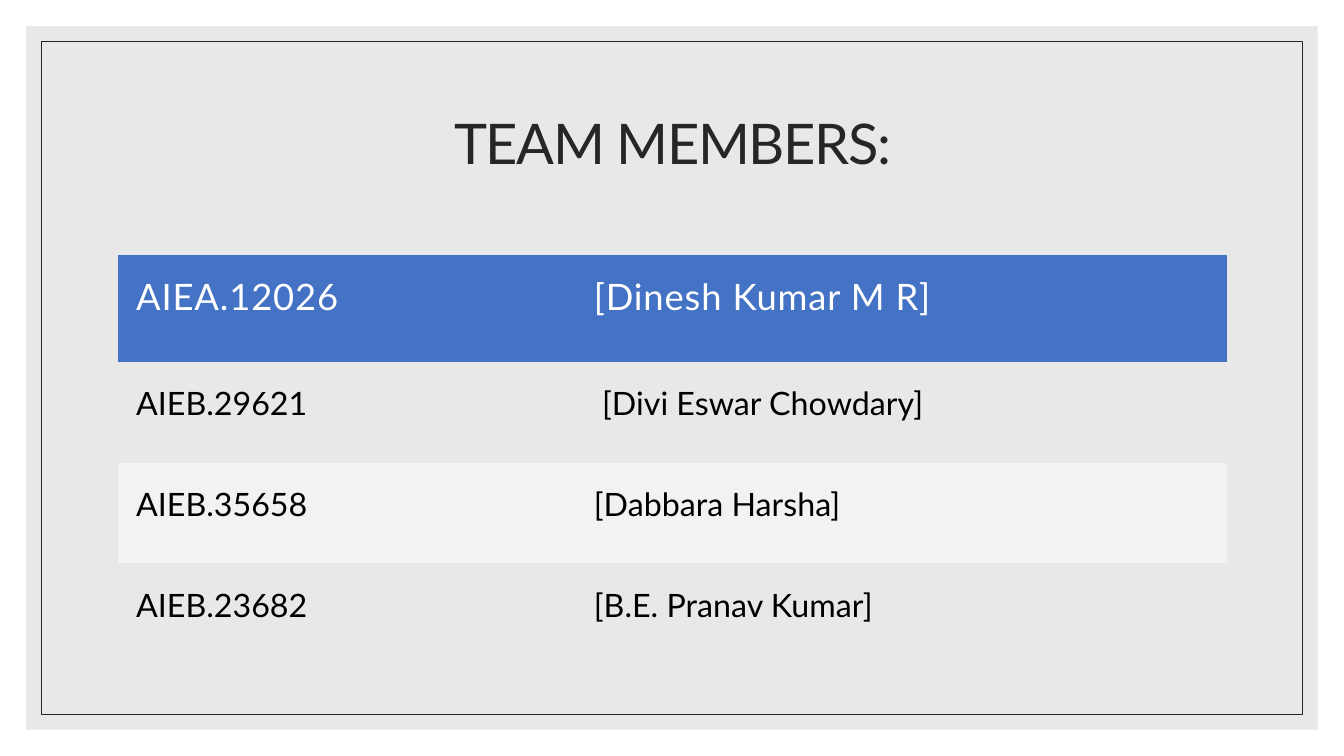
from dataclasses import dataclass

from pptx import Presentation
from pptx.dml.color import RGBColor
from pptx.enum.shapes import MSO_SHAPE
from pptx.enum.text import MSO_ANCHOR, PP_ALIGN
from pptx.oxml.ns import qn
from pptx.util import Inches, Pt
from lxml import etree

RECTANGLE = MSO_SHAPE.RECTANGLE
MIDDLE, BOTTOM = MSO_ANCHOR.MIDDLE, MSO_ANCHOR.BOTTOM
CENTER = PP_ALIGN.CENTER
NO_STYLE_NO_GRID = "{2D5ABB26-0587-4C30-8999-92F81FD0307C}"


@dataclass(frozen=True)
class Theme:
    font: str = "Lato"
    white: str = "FFFFFF"
    black: str = "000000"
    ink: str = "262626"
    panel: str = "D9D9D9"
    header: str = "4472C4"
    band: str = "F2F2F2"
    title_size: int = 40
    header_size: int = 26
    body_size: int = 23


THEME = Theme()
MEMBERS = [
    ("AIEA.12026", "[Dinesh Kumar M R]"),
    ("AIEB.29621", " [Divi Eswar Chowdary]"),
    ("AIEB.35658", "[Dabbara Harsha]"),
    ("AIEB.23682", "[B.E. Pranav Kumar]"),
]


def format_span(span, size, color, spacing):
    """Style a run; spacing between letters is in points."""
    span.font.name = THEME.font
    span.font.size = Pt(size)
    span.font.bold = False
    span.font.color.rgb = RGBColor.from_string(color)
    span._r.get_or_add_rPr().set("spc", str(round(spacing * 100)))


def add_rectangle(page, inset, fill=None):
    """Add a rectangle set in from the slide edge by the same inset all round."""
    box = page.shapes.add_shape(
        RECTANGLE, Inches(inset), Inches(inset),
        deck.slide_width - Inches(2 * inset), deck.slide_height - Inches(2 * inset))
    box.shadow.inherit = False
    if fill:
        box.fill.solid()
        box.fill.fore_color.rgb = RGBColor.from_string(fill)
        box.line.fill.background()
    else:
        box.fill.background()
    return box


deck = Presentation()
deck.slide_width, deck.slide_height = Inches(13.33), Inches(7.5)
page = deck.slides.add_slide(deck.slide_layouts[5])

# Background, translucent panel and thin frame
add_rectangle(page, 0, THEME.white)
panel = add_rectangle(page, 0.26, THEME.panel)
panel_color = panel.fill._xPr.find(qn("a:solidFill"))[0]
etree.SubElement(panel_color, qn("a:alpha")).set("val", "60000")
frame = add_rectangle(page, 0.41)
frame.line.color.rgb = RGBColor.from_string(THEME.ink)
frame.line.width = Pt(0.5)

# Title, brought in front of the panel
title = page.shapes.title
frame._element.addnext(title._element)
title.left, title.top = Inches(1.17), Inches(0.7)
title.width, title.height = Inches(11), Inches(1.5)
title.text_frame.text = "TEAM MEMBERS:"
title.text_frame.word_wrap = True
title.text_frame.vertical_anchor = MIDDLE
para = title.text_frame.paragraphs[0]
para.alignment = CENTER
para.line_spacing = 0.9
format_span(para.runs[0], THEME.title_size, THEME.ink, -1)

# Table of members
table = page.shapes.add_table(
    len(MEMBERS), 2, Inches(1.17), Inches(2.53), Inches(11), Inches(4.06)).table
table.horz_banding = False
table._tbl.tblPr.find(qn("a:tableStyleId")).text = NO_STYLE_NO_GRID
for column, width in zip(table.columns, (4.54, 6.46)):
    column.width = Inches(width)

for index, member in enumerate(MEMBERS):
    is_header = index == 0
    table.rows[index].height = Inches(1.06 if is_header else 1)
    for cell, text in zip(table.rows[index].cells, member):
        cell.text_frame.text = text
        cell.margin_left, cell.margin_top = Inches(0.18), Inches(0.16)
        cell.margin_right, cell.margin_bottom = Inches(0.52), Inches(0.4)
        cell.vertical_anchor = MIDDLE if is_header else BOTTOM
        if index % 2 == 0:
            cell.fill.solid()
            cell.fill.fore_color.rgb = RGBColor.from_string(
                THEME.header if is_header else THEME.band)
        else:
            cell.fill.background()
        span = cell.text_frame.paragraphs[0].runs[0]
        if is_header:
            format_span(span, THEME.header_size, THEME.white, 0.6)
        else:
            format_span(span, THEME.body_size, THEME.black, 0)

deck.save("out.pptx")
